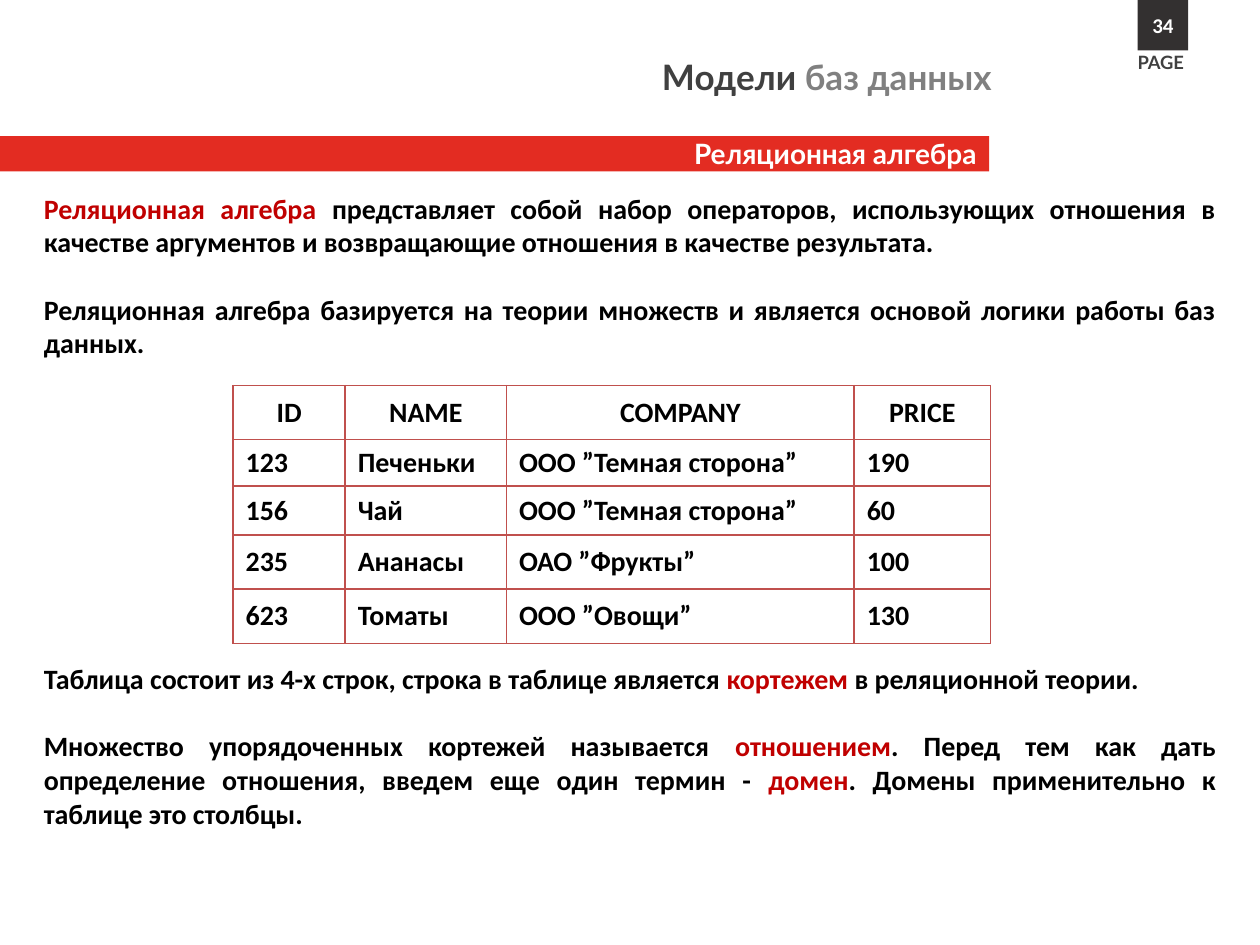
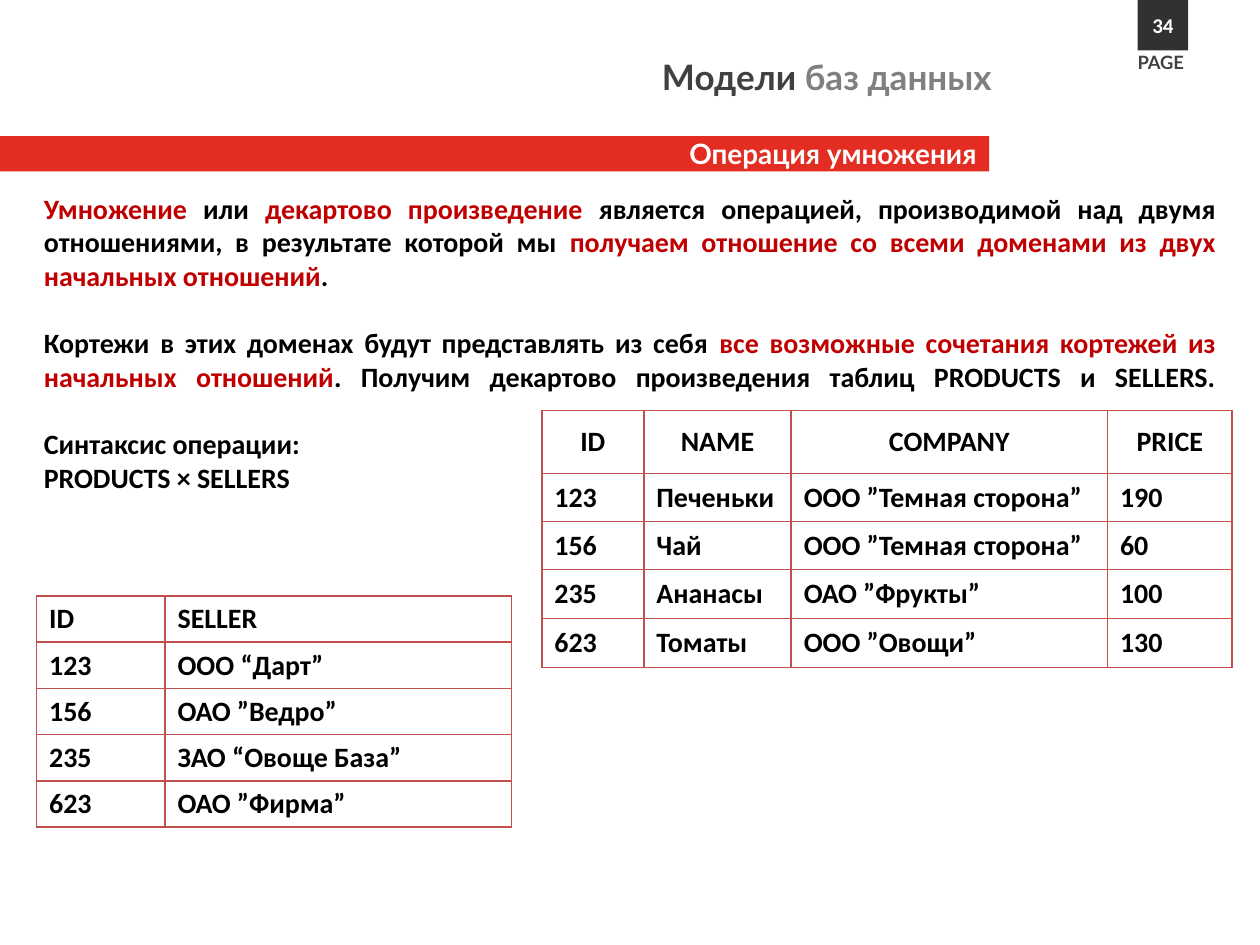
from lxml import etree
from pptx import Presentation
from pptx.dml.color import RGBColor
from pptx.enum.shapes import MSO_SHAPE
from pptx.enum.text import MSO_ANCHOR, PP_ALIGN
from pptx.oxml.ns import qn
from pptx.util import Inches, Pt

LEFT, CENTER, RIGHT, JUSTIFY = PP_ALIGN.LEFT, PP_ALIGN.CENTER, PP_ALIGN.RIGHT, PP_ALIGN.JUSTIFY
MIDDLE = MSO_ANCHOR.MIDDLE
RECTANGLE = MSO_SHAPE.RECTANGLE

COLORS = {
    "band": "E32C22",
    "badge": "333030",
    "white": "FFFFFF",
    "black": "000000",
    "accent": "C00000",
    "dark": "404040",
    "gray": "808080",
    "border": "C0504D",
}
HEADING_FONT, BODY_FONT = "Lato", "Calibri"
BODY_SIZE = 16
LINE_PITCH = 19.2  # points per line of body text
COLUMNS, ROWS = 100, 75  # layout grid

PRODUCTS = [
    ["ID", "NAME", "COMPANY", "PRICE"],
    ["123", "Печеньки", "ООО ”Темная сторона”", "190"],
    ["156", "Чай", "ООО ”Темная сторона”", "60"],
    ["235", "Ананасы", "ОАО ”Фрукты”", "100"],
    ["623", "Томаты", "ООО ”Овощи”", "130"],
]
SELLERS = [
    ["ID", "SELLER"],
    ["123", "OOO “Дарт”"],
    ["156", "ОАО ”Ведро”"],
    ["235", "ЗАО “Овоще База”"],
    ["623", "ОАО ”Фирма”"],
]

# Body paragraphs: empty lines before, text with *accented* parts
ALGEBRA_TEXT = [
    (0, "*Реляционная алгебра *представляет собой набор операторов, использующих отношения "
        "в качестве аргументов и возвращающие отношения в качестве результата."),
    (1, "Реляционная алгебра базируется на теории множеств и является основой логики "
        "работы баз данных."),
    (9, "Таблица состоит из 4-х строк, строка в таблице является *кортежем* "
        "в реляционной теории."),
    (1, "Множество упорядоченных кортежей называется *отношением*. Перед тем как дать "
        "определение отношения, введем еще один термин - *домен*. Домены применительно "
        "к таблице это столбцы."),
]
PRODUCT_TEXT = [
    (0, "*Умножение* или *декартово произведение *является операцией, производимой над двумя "
        "отношениями, в результате которой мы *получаем отношение со всеми доменами из двух "
        "начальных отношений*."),
    (1, "Кортежи в этих доменах будут представлять из себя *все возможные сочетания кортежей "
        "из начальных отношений*. Получим декартово произведения таблиц PRODUCTS и SELLERS.\n"),
    (0, "Синтаксис операции:"),
    (0, "PRODUCTS × SELLERS"),
]


class Deck:
    def __init__(self):
        self.presentation = Presentation()
        self.presentation.slide_width = Inches(10)
        self.presentation.slide_height = Inches(7.5)
        self.slide = None

    def across(self, columns):
        return round(self.presentation.slide_width * columns / COLUMNS)

    def down(self, rows):
        return round(self.presentation.slide_height * rows / ROWS)

    def place(self, left, top, width, height):
        return self.across(left), self.down(top), self.across(width), self.down(height)

    def fill_paragraph(self, paragraph, text, font, size, color, accent="accent", align=LEFT):
        """Fill a paragraph; parts between asterisks take the accent colour."""
        paragraph.alignment = align
        for index, part in enumerate(text.rstrip("\n").split("*")):
            if part:
                run = paragraph.add_run()
                run.text = part
                run.font.name, run.font.size, run.font.bold = font, Pt(size), True
                run.font.color.rgb = RGBColor.from_string(COLORS[accent if index % 2 else color])
        if text.endswith("\n"):
            # A closing break stretches the justified last line
            paragraph.add_line_break()
            size_code = str(size * 100)
            etree.SubElement(paragraph._p[-1], qn("a:rPr"), sz=size_code)
            etree.SubElement(paragraph._p, qn("a:endParaRPr"), sz=size_code)

    def box(self, area, fill, text, font, size, align):
        shape = self.slide.shapes.add_shape(RECTANGLE, *self.place(*area))
        shape.shadow.inherit = False
        shape.fill.solid()
        shape.fill.fore_color.rgb = RGBColor.from_string(COLORS[fill])
        shape.line.fill.background()
        frame = shape.text_frame
        frame.vertical_anchor = MIDDLE
        frame.margin_top = frame.margin_bottom = 0
        self.fill_paragraph(frame.paragraphs[0], text, font, size, "white", align=align)

    def text(self, area, paragraphs, font, size, color, accent="accent", align=LEFT, wrap=True):
        frame = self.slide.shapes.add_textbox(*self.place(*area)).text_frame
        frame.word_wrap = wrap
        for index, (empty_lines, text) in enumerate(paragraphs):
            paragraph = frame.add_paragraph() if index else frame.paragraphs[0]
            if empty_lines:
                paragraph.space_before = Pt(empty_lines * LINE_PITCH)
            self.fill_paragraph(paragraph, text, font, size, color, accent, align)

    def body(self, height, paragraphs):
        self.text((2.5, 14.7, 95, height), paragraphs, BODY_FONT, BODY_SIZE, "black", align=JUSTIFY)

    def table(self, left, top, widths, heights, data, header_align=CENTER):
        area = self.place(left, top, sum(widths), sum(heights))
        table = self.slide.shapes.add_table(len(data), len(data[0]), *area).table
        table.first_row = table.horz_banding = False
        for column, width in zip(table.columns, widths):
            column.width = self.across(width)
        for row, height, values in zip(table.rows, heights, data):
            row.height = self.down(height)
            align = header_align if values is data[0] else LEFT
            for cell, value in zip(row.cells, values):
                cell.vertical_anchor = MIDDLE
                self.border(cell)
                cell.fill.background()
                self.fill_paragraph(cell.text_frame.paragraphs[0], value, BODY_FONT, BODY_SIZE,
                                    "black", align=align)

    def border(self, cell):
        properties = cell._tc.get_or_add_tcPr()
        for side in "LRTB":
            line = etree.SubElement(properties, qn(f"a:ln{side}"), w=str(int(Pt(1))))
            fill = etree.SubElement(line, qn("a:solidFill"))
            etree.SubElement(fill, qn("a:srgbClr"), val=COLORS["border"])

    def new_slide(self, topic):
        """Start a slide with the shared band, page badge and title."""
        self.slide = self.presentation.slides.add_slide(self.presentation.slide_layouts[6])
        self.box((0, 10.8, 78.5, 2.8), "band", topic, HEADING_FONT, 16, RIGHT)
        self.text((89.3, 3.6, 5.9, 2.8), [(0, "PAGE")], HEADING_FONT, 10.5, "dark", wrap=False)
        self.box((90.3, 0, 4, 4), "badge", "34", BODY_FONT, 12, CENTER)
        self.text((1.5, 3.9, 78.2, 4.4), [(0, "Модели *баз данных*")],
                  HEADING_FONT, 20, "dark", "gray", RIGHT)


def main():
    deck = Deck()

    # Relational algebra
    deck.new_slide("Реляционная алгебра")
    deck.body(52.2, ALGEBRA_TEXT)
    deck.table(18.5, 30.6, [8.9, 12.8, 27.6, 10.8], [4.3, 3.67, 3.9, 4.3, 4.3], PRODUCTS)

    # Cartesian product
    deck.new_slide("Операция умножения")
    deck.body(30.6, PRODUCT_TEXT)
    deck.table(43, 32.6, [8.1, 11.7, 25.1, 9.9], [5, 3.8, 3.8, 3.9, 3.9], PRODUCTS)
    deck.table(2.9, 47.3, [10.2, 27.5], [3.67] * len(SELLERS), SELLERS, header_align=LEFT)

    deck.presentation.save("out.pptx")


if __name__ == "__main__":
    main()
